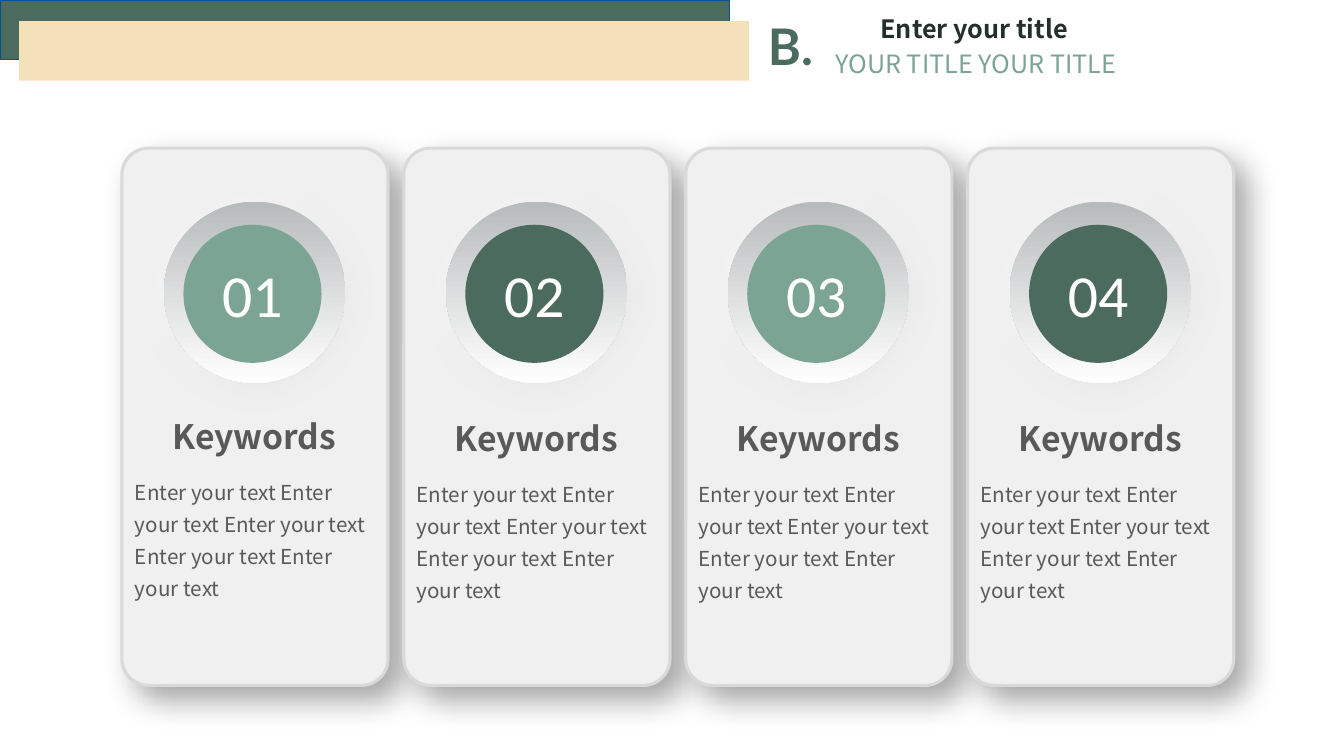
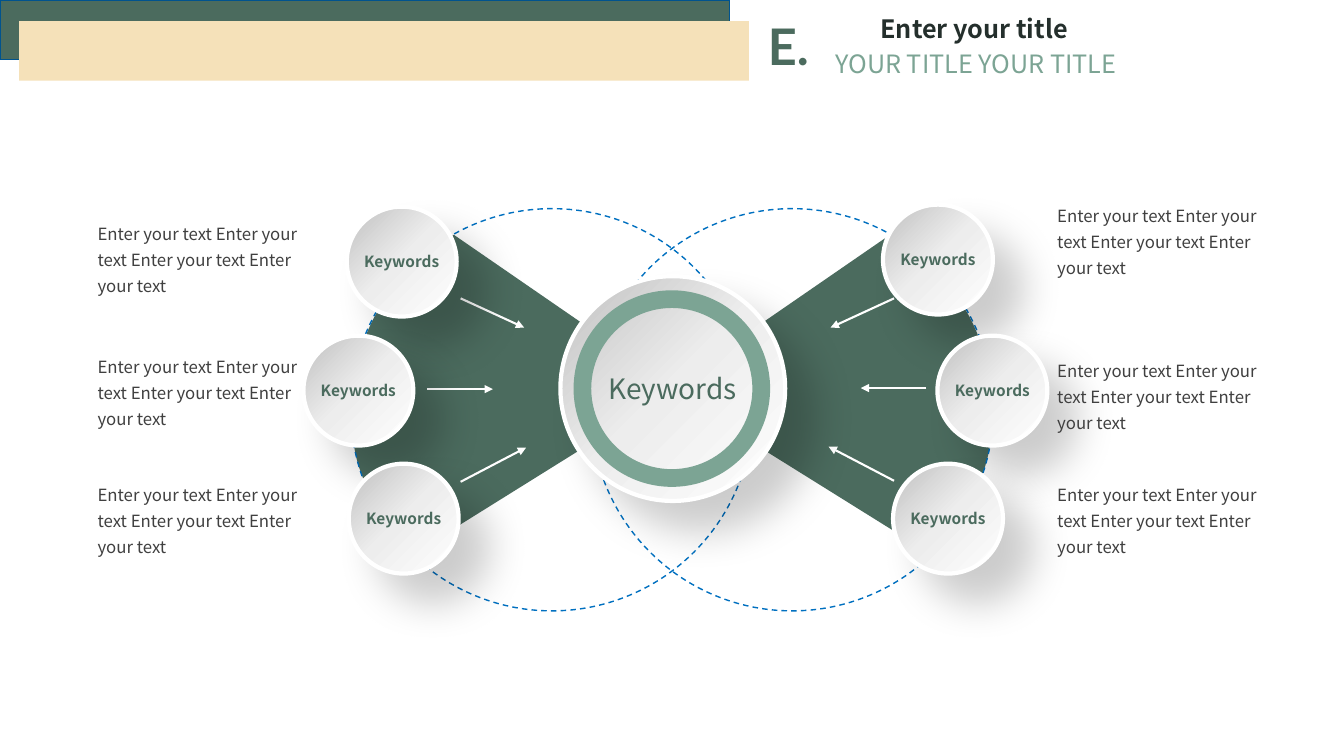
from dataclasses import dataclass

from lxml import etree
from pptx import Presentation
from pptx.dml.color import RGBColor
from pptx.enum.dml import MSO_LINE
from pptx.enum.shapes import MSO_CONNECTOR, MSO_SHAPE
from pptx.enum.text import MSO_ANCHOR, PP_ALIGN
from pptx.oxml.ns import nsdecls, qn
from pptx.oxml import parse_xml
from pptx.shapes.autoshape import Shape
from pptx.slide import Slide
from pptx.util import Emu, Inches, Pt

RECTANGLE, ROUNDED = MSO_SHAPE.RECTANGLE, MSO_SHAPE.ROUNDED_RECTANGLE
OVAL, DONUT = MSO_SHAPE.OVAL, MSO_SHAPE.DONUT
STRAIGHT, DASH = MSO_CONNECTOR.STRAIGHT, MSO_LINE.DASH
LEFT, CENTER = PP_ALIGN.LEFT, PP_ALIGN.CENTER
TOP, MIDDLE = MSO_ANCHOR.TOP, MSO_ANCHOR.MIDDLE

# The slide is a grid of 40 columns by 22.5 rows of square cells.
COLUMNS, ROWS = 40, 22.5
CELL = Inches(1) / 3

DARK_GREEN, SAGE, SAND = "4B6B5E", "7CA494", "F5E1B9"
INK, GREY_TEXT, NOTE_TEXT = "242F2C", "595959", "404040"
BAND_EDGE, RING_BLUE, WHITE = "00538E", "0070C0", "FFFFFF"
CARD_FILL, CARD_EDGE = "F0F0F0", "D9D9D9"
SANS = "Noto Sans CJK SC"
LINE_SPACING = 1.3
PHRASE = "Enter your text"

HALO_STOPS = [(0, "D9D9D9"), (100, WHITE)]
RIM_STOPS = [(0, "B8BBBC"), (100, WHITE)]
PEARL_STOPS = [(0, "C0C0C0"), (49, "EDEDED"), (100, WHITE)]
HALO_FOCUS = ('<a:path path="circle">'
              '<a:fillToRect l="100000" t="100000"/></a:path>')

Point = tuple[float, float]
Stops = list[tuple[int, str]]


@dataclass(frozen=True)
class Box:
    """A place on the grid, in cells."""
    left: float
    top: float
    width: float
    height: float


@dataclass(frozen=True)
class TextStyle:
    size: float
    color: str
    font: str = SANS
    bold: bool = False
    align: PP_ALIGN = LEFT
    spacing: float = 1.0


@dataclass(frozen=True)
class Card:
    number: str
    color: str
    lift: float = 0


@dataclass(frozen=True)
class Spoke:
    """A keyword circle with its arrow to the hub and its note."""
    circle: Point
    arrow_start: Point
    arrow_end: Point
    note: Point


TITLE = TextStyle(18, INK, bold=True, align=CENTER)
SUBTITLE = TextStyle(18, SAGE)
LETTER = TextStyle(36, DARK_GREEN, font="Lato", bold=True)
CARD_NUMBER = TextStyle(42.6, WHITE, font="Calibri", align=CENTER)
CARD_HEADING = TextStyle(24, GREY_TEXT, bold=True, align=CENTER)
CARD_BODY = TextStyle(14.7, GREY_TEXT, spacing=LINE_SPACING)
SPOKE_LABEL = TextStyle(11, DARK_GREEN, bold=True, align=CENTER)
HUB_LABEL = TextStyle(20, DARK_GREEN, align=CENTER)
NOTE = TextStyle(12, NOTE_TEXT, spacing=LINE_SPACING)

CARDS = [
    Card("01", SAGE, lift=0.07),
    Card("02", DARK_GREEN),
    Card("03", SAGE),
    Card("04", DARK_GREEN),
]
CARD_LEFT, CARD_PITCH = 3.63, 8.39

SPOKES = [
    Spoke((10.32, 6.15), (13.71, 8.88), (15.6, 9.75), (2.61, 6.33)),
    Spoke((9.03, 9.99), (12.72, 11.58), (14.67, 11.58), (2.61, 10.29)),
    Spoke((10.38, 13.8), (13.71, 14.34), (15.66, 13.32), (2.61, 14.1)),
    Spoke((26.28, 6.09), (26.61, 8.88), (24.72, 9.75), (31.17, 5.79)),
    Spoke((27.9, 9.99), (27.57, 11.55), (25.62, 11.55), (31.17, 10.41)),
    Spoke((26.58, 13.8), (26.61, 14.31), (24.66, 13.29), (31.17, 14.1)),
]
SPOKE_SIZE = 3.27
RING_LEFT, RING_SIZE = 10.44, 11.97

# Right-hand lobe: two points make an edge, four make a cubic curve.
LOBE = [
    [(28.71, 9.18), (27.75, 7.89), (27.96, 7.98), (26.49, 6.99)],
    [(26.49, 6.99), (19.83, 11.58)],
    [(19.83, 11.58), (27.72, 16.5)],
    [(27.72, 16.5), (29.64, 14.16), (29.46, 13.32), (29.55, 12.12)],
    [(29.55, 12.12), (29.49, 11.13), (29.25, 10.05), (28.71, 9.18)],
]
CURVE_STEPS = 16


def cells(count: float) -> Emu:
    return Emu(round(count * CELL))


def rgb(color: str) -> RGBColor:
    return RGBColor.from_string(color)


def square(left: float, top: float, size: float) -> Box:
    return Box(left, top, size, size)


def write(shape: Shape, text: str, style: TextStyle,
          anchor: MSO_ANCHOR = TOP, wrap: bool = True) -> None:
    frame = shape.text_frame
    frame.word_wrap = wrap
    frame.vertical_anchor = anchor
    paragraph = frame.paragraphs[0]
    paragraph.alignment = style.align
    paragraph.line_spacing = style.spacing
    run = paragraph.add_run()
    run.text = text
    run.font.name = style.font
    run.font.size = Pt(style.size)
    run.font.bold = style.bold
    run.font.color.rgb = rgb(style.color)


def add_text(slide: Slide, box: Box, text: str, style: TextStyle) -> None:
    shape = slide.shapes.add_textbox(
        cells(box.left), cells(box.top), cells(box.width), cells(box.height))
    write(shape, text, style)


def paint(shape: Shape, fill: str | None, line: str | None = None,
          width: float = 1) -> None:
    shape.shadow.inherit = False
    if fill:
        shape.fill.solid()
        shape.fill.fore_color.rgb = rgb(fill)
    else:
        shape.fill.background()
    if line:
        shape.line.color.rgb = rgb(line)
        shape.line.width = Pt(width)
    else:
        shape.line.fill.background()


def add_shape(slide: Slide, kind: MSO_SHAPE, box: Box, fill: str | None,
              line: str | None = None, width: float = 1) -> Shape:
    shape = slide.shapes.add_shape(
        kind, cells(box.left), cells(box.top),
        cells(box.width), cells(box.height))
    paint(shape, fill, line, width)
    return shape


def set_gradient(shape: Shape, stops: Stops, direction: str) -> None:
    """Replace the solid fill; direction is the a:lin or a:path element."""
    stop_xml = "".join(
        f'<a:gs pos="{position * 1000}"><a:srgbClr val="{color}"/></a:gs>'
        for position, color in stops)
    gradient = parse_xml(
        f'<a:gradFill {nsdecls("a")} rotWithShape="1">'
        f'<a:gsLst>{stop_xml}</a:gsLst>{direction}</a:gradFill>')
    properties = shape._element.spPr
    properties.replace(properties.find(qn("a:solidFill")), gradient)


def linear(angle: int) -> str:
    return f'<a:lin ang="{angle * 60000}" scaled="0"/>'


def add_effect(shape: Shape, effect: str) -> None:
    effects = shape._element.spPr.find(qn("a:effectLst"))
    effects.append(parse_xml(effect))


def drop_shadow(shape: Shape, opacity: int, blur: float,
                distance: float) -> None:
    add_effect(shape, (
        f'<a:outerShdw {nsdecls("a")} blurRad="{Pt(blur)}" '
        f'dist="{Pt(distance)}" dir="2700000" algn="tl" rotWithShape="0">'
        f'<a:srgbClr val="000000"><a:alpha val="{opacity * 1000}"/>'
        '</a:srgbClr></a:outerShdw>'))


def add_header(slide: Slide, letter: str) -> None:
    add_shape(slide, RECTANGLE, Box(0, 0, 21.72, 1.77), DARK_GREEN, BAND_EDGE)
    add_shape(slide, RECTANGLE, Box(0.57, 0.63, 21.72, 1.77), SAND)
    add_text(slide, Box(24.3, 0.24, 9.39, 1.2), "Enter your title", TITLE)
    add_text(slide, Box(22.56, 0.3, 2.28, 2.13), letter, LETTER)
    add_text(slide, Box(24.57, 1.29, 9.39, 1.2),
             "YOUR TITLE YOUR TITLE", SUBTITLE)


def add_card_panel(slide: Slide, left: float) -> None:
    panel = add_shape(slide, ROUNDED, Box(left, 4.41, 7.92, 15.99),
                      CARD_FILL, CARD_EDGE, 2.25)
    panel.adjustments[0] = 0.1
    drop_shadow(panel, 35, 22, 13)


def add_card_content(slide: Slide, card: Card, left: float) -> None:
    halo = add_shape(slide, OVAL, square(left + 0.27, 5.04, 7.35), WHITE)
    set_gradient(halo, HALO_STOPS, HALO_FOCUS)
    add_effect(halo, f'<a:softEdge {nsdecls("a")} rad="{Pt(20)}"/>')
    rim = add_shape(slide, OVAL, square(left + 1.25, 6, 5.4), WHITE)
    set_gradient(rim, RIM_STOPS, linear(90))
    disc = add_shape(slide, OVAL, square(left + 1.83, 6.69, 4.11), card.color)
    write(disc, card.number, CARD_NUMBER, MIDDLE, wrap=False)
    add_text(slide, Box(left + 0.09, 13.98 - card.lift, 7.71, 4.05),
             " ".join([PHRASE] * 5), CARD_BODY)
    add_text(slide, Box(left + 0.96, 12.3 - card.lift, 5.97, 1.5),
             "Keywords", CARD_HEADING)


def trace(segment: list[Point]) -> list[Point]:
    """Points along an edge or a cubic curve, without its start."""
    if len(segment) == 2:
        return segment[1:]
    points = []
    for step in range(1, CURVE_STEPS + 1):
        t = step / CURVE_STEPS
        weights = ((1 - t) ** 3, 3 * t * (1 - t) ** 2,
                   3 * t ** 2 * (1 - t), t ** 3)
        points.append((sum(w * x for w, (x, _) in zip(weights, segment)),
                       sum(w * y for w, (_, y) in zip(weights, segment))))
    return points


def add_lobe(slide: Slide, mirrored: bool) -> None:
    outline = [LOBE[0][0]]
    for segment in LOBE:
        outline += trace(segment)
    if mirrored:
        outline = [(COLUMNS - x, y) for x, y in outline]
    corners = [(cells(x), cells(y)) for x, y in outline]
    builder = slide.shapes.build_freeform(*corners[0])
    builder.add_line_segments(corners[1:], close=True)
    paint(builder.convert_to_shape(), DARK_GREEN)


def add_arrow(slide: Slide, start: Point, end: Point) -> None:
    arrow = slide.shapes.add_connector(
        STRAIGHT, *(cells(value) for value in start + end))
    arrow.line.color.rgb = rgb(WHITE)
    arrow.line.width = Pt(1.5)
    etree.SubElement(arrow.line._get_or_add_ln(), qn("a:tailEnd"),
                     type="triangle")
    etree.SubElement(arrow._element.spPr, qn("a:effectLst"))


def add_pearl(slide: Slide, box: Box, style: TextStyle) -> None:
    pearl = add_shape(slide, OVAL, box, WHITE, WHITE, 3)
    set_gradient(pearl, PEARL_STOPS, linear(45))
    drop_shadow(pearl, 20, 29, 29)
    pearl.text_frame.margin_left = pearl.text_frame.margin_right = 0
    write(pearl, "Keywords", style, MIDDLE, wrap=False)


def build_cards(slide: Slide) -> None:
    add_header(slide, "B.")
    lefts = [CARD_LEFT + CARD_PITCH * index for index in range(len(CARDS))]
    for left in lefts:
        add_card_panel(slide, left)
    for card, left in zip(CARDS, lefts):
        add_card_content(slide, card, left)


def build_hub(slide: Slide) -> None:
    add_header(slide, "E.")
    for mirrored in (False, True):
        add_lobe(slide, mirrored)
    for left in (RING_LEFT, COLUMNS - RING_LEFT - RING_SIZE):
        ring = add_shape(slide, OVAL, square(left, 6.21, RING_SIZE),
                         None, RING_BLUE)
        ring.line.dash_style = DASH
    for spoke in SPOKES:
        add_arrow(slide, spoke.arrow_start, spoke.arrow_end)
    for spoke in SPOKES:
        add_pearl(slide, square(*spoke.circle, SPOKE_SIZE), SPOKE_LABEL)
    add_pearl(slide, square(16.68, 8.22, 6.69), HUB_LABEL)
    donut = add_shape(slide, DONUT, square(17.07, 8.64, 5.85), SAGE)
    donut.adjustments[0] = 0.09
    for spoke in SPOKES:
        add_text(slide, Box(*spoke.note, 7.32, 2.67),
                 " ".join([PHRASE] * 4), NOTE)


def main() -> None:
    presentation = Presentation()
    presentation.slide_width = cells(COLUMNS)
    presentation.slide_height = cells(ROWS)
    blank = presentation.slide_layouts[6]
    for build in (build_cards, build_hub):
        build(presentation.slides.add_slide(blank))
    presentation.save("out.pptx")


if __name__ == "__main__":
    main()
